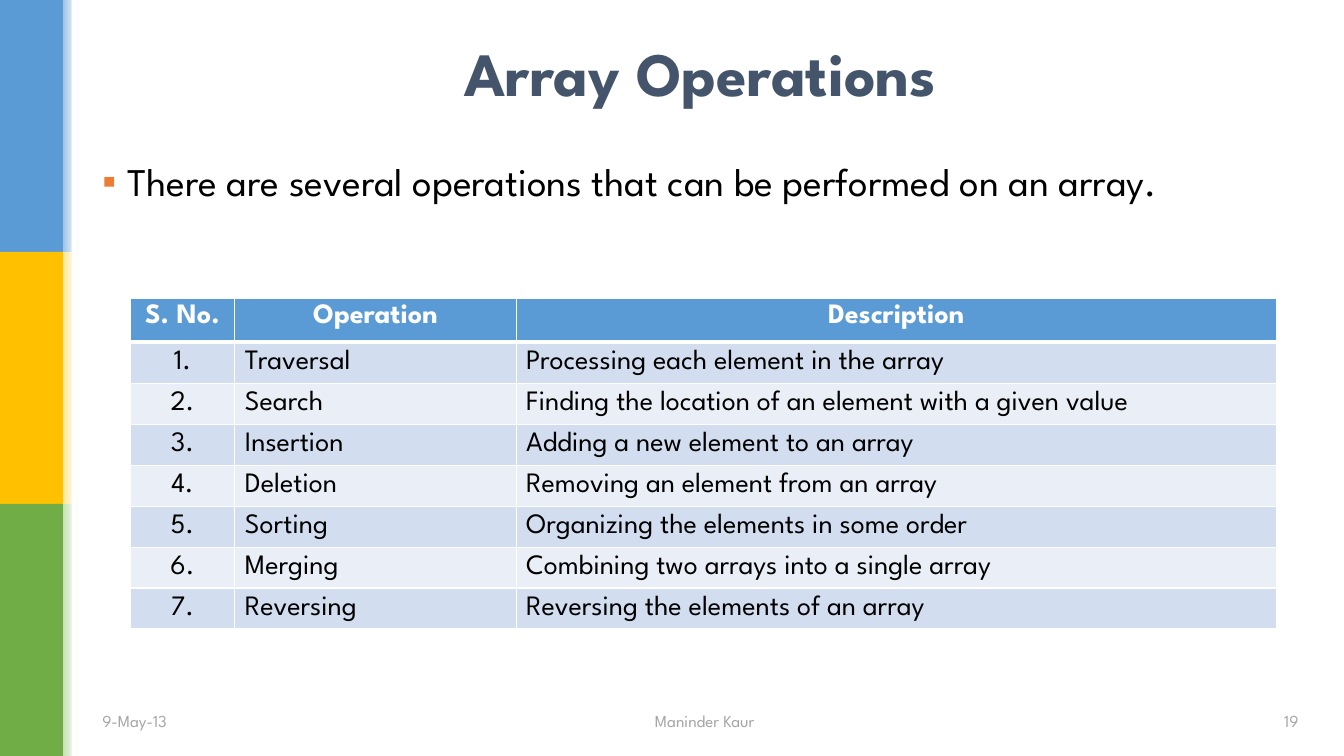
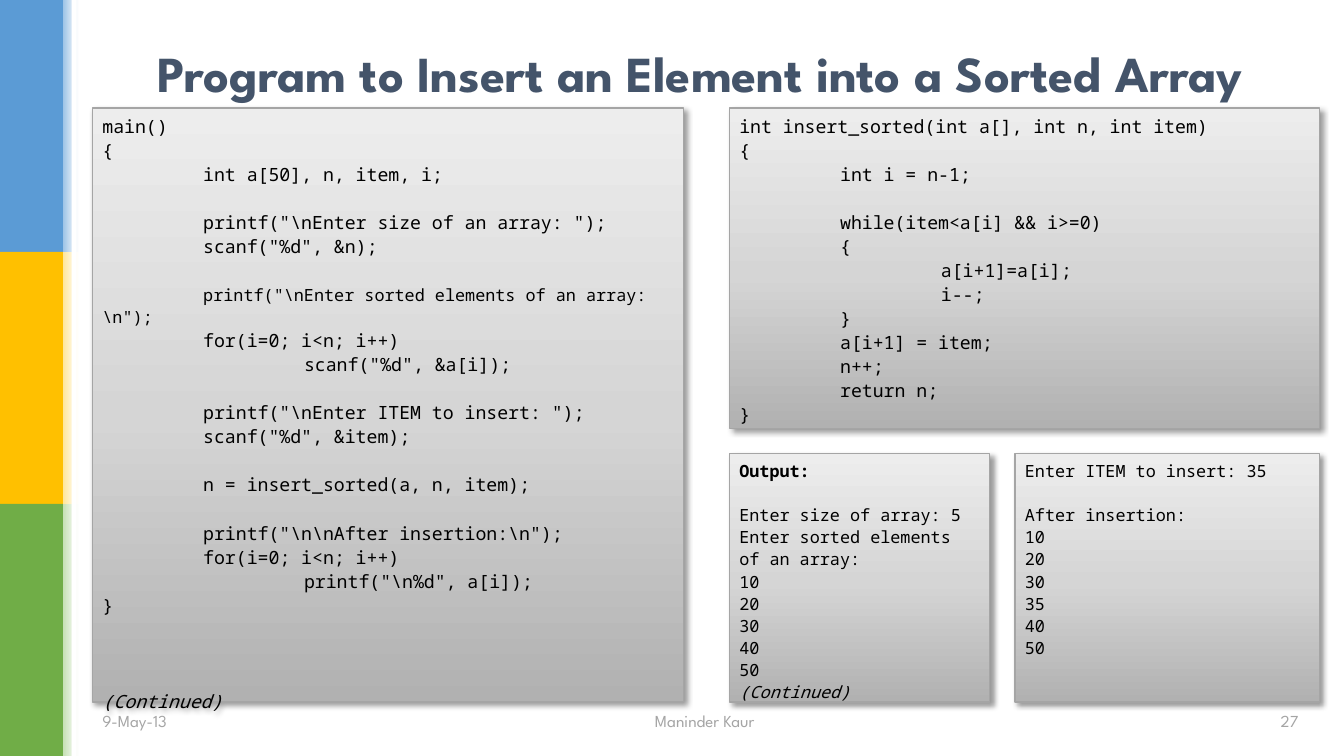
from collections import namedtuple

from lxml.etree import SubElement
from pptx import Presentation
from pptx.dml.color import RGBColor
from pptx.enum.shapes import MSO_SHAPE
from pptx.enum.text import MSO_ANCHOR, MSO_AUTO_SIZE, PP_ALIGN
from pptx.oxml.ns import qn
from pptx.util import Inches, Pt

# Shared look
BLUE, PALE_BLUE = RGBColor(0x5B, 0x9B, 0xD5), RGBColor(0x9D, 0xC3, 0xE6)
GOLD, PALE_GOLD = RGBColor(0xFF, 0xC0, 0x00), RGBColor(0xFF, 0xE6, 0x99)
GREEN, PALE_GREEN = RGBColor(0x70, 0xAD, 0x47), RGBColor(0xC5, 0xE0, 0xB4)
WHITE, BLACK = RGBColor(0xFF, 0xFF, 0xFF), RGBColor(0, 0, 0)
NAVY, GREY = RGBColor(0x44, 0x54, 0x6A), RGBColor(0xA5, 0xA5, 0xA5)
ORANGE = RGBColor(0xED, 0x7D, 0x31)
ROW_TINTS = RGBColor(0xD2, 0xDE, 0xEF), RGBColor(0xEA, 0xEF, 0xF7)
PANEL_STOPS = [(0, RGBColor(0xB1, 0xB1, 0xB1)), (48, RGBColor(0xD5, 0xD5, 0xD5)),
               (100, RGBColor(0xED, 0xED, 0xED))]
BANDS = [(BLUE, PALE_BLUE), (GOLD, PALE_GOLD), (GREEN, PALE_GREEN)]
TEXT_FONT, CODE_FONT = "League Spartan", "Noto Sans Mono"
LINE_SPACING = 1.1
BLANK_LINE = 1.2 * LINE_SPACING  # height of an empty code line, in font sizes

# The slide is a grid of 100 columns by 100 rows
WIDTH, HEIGHT = Inches(13.33), Inches(7.5)
Box = namedtuple("Box", "left top width height")
TITLE_BOX = Box(6.87, 2.27, 90.5, 14.53)
BODY_BOX = Box(6.87, 20.13, 90.6, 70)
TABLE_BOX = Box(9.68, 39.47, 85.28, 43.4)
CODE_BOX = Box(6.87, 14.27, 91.31, 78.6)
BAND_WIDTH, FADE_WIDTH = 4.69, 1.17

OPERATIONS = [
    ("Traversal", "Processing each element in the array"),
    ("Search", "Finding the location of an element with a given value"),
    ("Insertion", "Adding a new element to an array"),
    ("Deletion", "Removing an element from an array"),
    ("Sorting", "Organizing the elements in some order"),
    ("Merging", "Combining two arrays into a single array"),
    ("Reversing", "Reversing the elements of an array"),
]

MAIN_CODE = r"""main()
{
    int a[50], n, item, i;

    printf("\nEnter size of an array: ");
    scanf("%d", &n);

    printf("\nEnter sorted elements of an array:\n");
    for(i=0; i<n; i++)
        scanf("%d", &a[i]);

    printf("\nEnter ITEM to insert: ");
    scanf("%d", &item);

    n = insert_sorted(a, n, item);

    printf("\n\nAfter insertion:\n");
    for(i=0; i<n; i++)
        printf("\n%d", a[i]);
}



(Continued)"""

INSERT_CODE = """int insert_sorted(int a[], int n, int item)
{
    int i = n-1;

    while(item<a[i] && i>=0)
    {
        a[i+1]=a[i];
        i--;
    }
    a[i+1] = item;
    n++;
    return n;
}"""

FIRST_OUTPUT = """Output:

Enter size of array: 5
Enter sorted elements of an array:
10
20
30
40
50
(Continued)"""

SECOND_OUTPUT = """Enter ITEM to insert: 35

After insertion:
10
20
30
35
40
50"""


def emu(box):
    return (int(WIDTH * box.left / 100), int(HEIGHT * box.top / 100),
            int(WIDTH * box.width / 100), int(HEIGHT * box.height / 100))


def inside(box, left, top, width, height):
    """A box that starts some columns and rows into another."""
    return Box(box.left + left, box.top + top, width, height)


def move(shape, box):
    shape.left, shape.top, shape.width, shape.height = emu(box)


def set_font(para, size, color, name=TEXT_FONT, bold=False, italic=False):
    font = para.font
    font.name, font.size, font.bold, font.italic = name, Pt(size), bold, italic
    font.color.rgb = color


def add_color(parent, color):
    return SubElement(parent, qn("a:srgbClr"), val=str(color))


def set_gradient(shape, stops, angle):
    shape.fill.gradient()
    shape.fill.gradient_angle = angle
    stop_list = shape.element.spPr.find(qn("a:gradFill")).find(qn("a:gsLst"))
    for stop in list(stop_list):
        stop_list.remove(stop)
    for position, color in stops:
        add_color(SubElement(stop_list, qn("a:gs"), pos=str(position * 1000)), color)


def add_block(page, box):
    shape = page.shapes.add_shape(MSO_SHAPE.RECTANGLE, *emu(box))
    shape.shadow.inherit = False
    shape.line.fill.background()
    return shape


def set_solid(shape, color):
    shape.fill.solid()
    shape.fill.fore_color.rgb = color


# Bands down the left edge
def add_bands(page):
    height = 100 / len(BANDS)
    for index, (color, pale) in enumerate(BANDS):
        top = index * height
        set_solid(add_block(page, Box(0, top, BAND_WIDTH, height)), color)
        fade = add_block(page, Box(BAND_WIDTH, top, FADE_WIDTH, height))
        set_gradient(fade, [(0, pale), (100, WHITE)], 0)
    set_solid(add_block(page, Box(5.33, 0, 0.38, 100)), WHITE)


# Date, author and slide number
def add_footer(page, number):
    entries = [("9-May-13", 6.87, 26.85, PP_ALIGN.LEFT),
               ("Maninder Kaur", 40.55, 23.78, PP_ALIGN.CENTER),
               (str(number), 70.5, 26.85, PP_ALIGN.RIGHT)]
    for text, left, width, align in entries:
        frame = page.shapes.add_textbox(*emu(Box(left, 92.67, width, 5.33))).text_frame
        frame.word_wrap = True
        frame.vertical_anchor = MSO_ANCHOR.MIDDLE
        para = frame.paragraphs[0]
        para.text, para.alignment = text, align
        set_font(para, 12, GREY)


def add_page(deck, title, size, number):
    page = deck.slides.add_slide(deck.slide_layouts[1])
    add_bands(page)
    move(page.shapes.title, TITLE_BOX)
    frame = page.shapes.title.text_frame
    frame.auto_size = MSO_AUTO_SIZE.NONE
    frame.vertical_anchor = MSO_ANCHOR.MIDDLE
    para = frame.paragraphs[0]
    para.text, para.alignment = title, PP_ALIGN.CENTER
    set_font(para, size, NAVY, bold=True)
    add_footer(page, number)
    return page


# Bulleted sentence
def fill_bullet(body, box, text):
    move(body, box)
    body.text_frame.auto_size = MSO_AUTO_SIZE.NONE
    para = body.text_frame.paragraphs[0]
    para.text = text
    para.space_before, para.space_after = Pt(0), Pt(12)
    set_font(para, 28, BLACK)
    props = para._p.get_or_add_pPr()
    props.set("marL", str(Inches(0.25)))
    props.set("indent", str(-Inches(0.25)))
    bullet_color = SubElement(props, qn("a:buClr"))
    add_color(bullet_color, ORANGE)
    bullet = SubElement(props, qn("a:buChar"), char="\u25aa")
    # Bullet elements come before the default run properties
    props.find(qn("a:defRPr")).addprevious(bullet_color)
    bullet_color.addnext(bullet)


# Table of operations
def set_borders(cell, bottom):
    props = cell._tc.get_or_add_tcPr()
    for index, (side, width) in enumerate(zip("LRTB", (1, 1, 1, bottom))):
        line = SubElement(props, qn("a:ln" + side), w=str(Pt(width)))
        add_color(SubElement(line, qn("a:solidFill")), WHITE)
        props.insert(index, line)


def add_operations(page, box):
    rows = [("S. No.", "Operation", "Description")]
    rows += [(f"{n}.", *entry) for n, entry in enumerate(OPERATIONS, 1)]
    table = page.shapes.add_table(len(rows), 3, *emu(box)).table
    for column, columns in zip(table.columns, (7.8, 20.93, 56.55)):
        column.width = int(WIDTH * columns / 100)
    for r, row in enumerate(rows):
        header = r == 0
        for c, text in enumerate(row):
            cell = table.cell(r, c)
            set_solid(cell, BLUE if header else ROW_TINTS[(r - 1) % 2])
            set_borders(cell, 3 if header else 1)
            cell.vertical_anchor = MSO_ANCHOR.TOP if header else MSO_ANCHOR.MIDDLE
            if not header:
                cell.margin_top = cell.margin_bottom = 0
            para = cell.text_frame.paragraphs[0]
            para.text = text
            para.alignment = PP_ALIGN.CENTER if header or c == 0 else PP_ALIGN.LEFT
            set_font(para, 20, WHITE if header else BLACK, bold=header)


# Code panels
def style_panel(shape):
    set_gradient(shape, PANEL_STOPS, 90)
    shape.line.color.rgb = GREY
    shape.line.width = Pt(1)
    shape.shadow.inherit = False
    shadow = SubElement(shape.element.spPr.find(qn("a:effectLst")), qn("a:outerShdw"),
                        blurRad=str(Pt(4)), dist=str(Pt(3)), dir=str(45 * 60000),
                        algn="tl", rotWithShape="0")
    SubElement(add_color(shadow, BLACK), qn("a:alpha"), val="40000")


def add_code_line(para, line, size):
    code = line.lstrip("\t")
    if code != line:
        para.add_run().text = line[:-len(code)]
    span = para.add_run()
    span.text = code
    if len(code) > 45:  # long lines are set one point smaller
        span.font.size = Pt(size - 1)
    set_font(para, size, BLACK, CODE_FONT, code == "Output:", code == "(Continued)")
    props = para._p.get_or_add_pPr()
    for name, length in (("marL", 0), ("indent", 0), ("defTabSz", Inches(1))):
        props.set(name, str(length))
    props.find(qn("a:defRPr")).addprevious(SubElement(props, qn("a:buNone")))


def fill_code(shape, code, size):
    style_panel(shape)
    frame = shape.text_frame
    frame.word_wrap = True
    frame.auto_size = MSO_AUTO_SIZE.NONE
    frame.vertical_anchor = MSO_ANCHOR.TOP
    blanks, para = 0, None
    for line in code.replace("    ", "\t").splitlines():
        if not line:
            blanks += 1
            continue
        para = frame.add_paragraph() if para else frame.paragraphs[0]
        para.alignment, para.line_spacing = PP_ALIGN.LEFT, LINE_SPACING
        para.space_before, para.space_after = Pt(blanks * BLANK_LINE * size), Pt(0)
        blanks = 0
        add_code_line(para, line, size)


def add_code_region(page, box):
    body = page.placeholders[1]
    move(body, inside(box, 0, 0, 44, box.height))
    fill_code(body, MAIN_CODE, 13)
    panels = [(INSERT_CODE, 13, (47.4, 0, 43.91, 42.4)),
              (FIRST_OUTPUT, 12, (47.4, 45.73, 19.38, 32.87)),
              (SECOND_OUTPUT, 12, (68.65, 45.73, 22.66, 32.87))]
    for code, size, place in panels:
        fill_code(add_block(page, inside(box, *place)), code, size)


deck = Presentation()
deck.slide_width, deck.slide_height = WIDTH, HEIGHT

operations_page = add_page(deck, "Array Operations", 44, 19)
fill_bullet(operations_page.placeholders[1], BODY_BOX,
            "There are several operations that can be performed on an array.")
add_operations(operations_page, TABLE_BOX)

program_page = add_page(deck, "Program to Insert an Element into a Sorted Array", 36, 27)
add_code_region(program_page, CODE_BOX)

deck.save("out.pptx")
